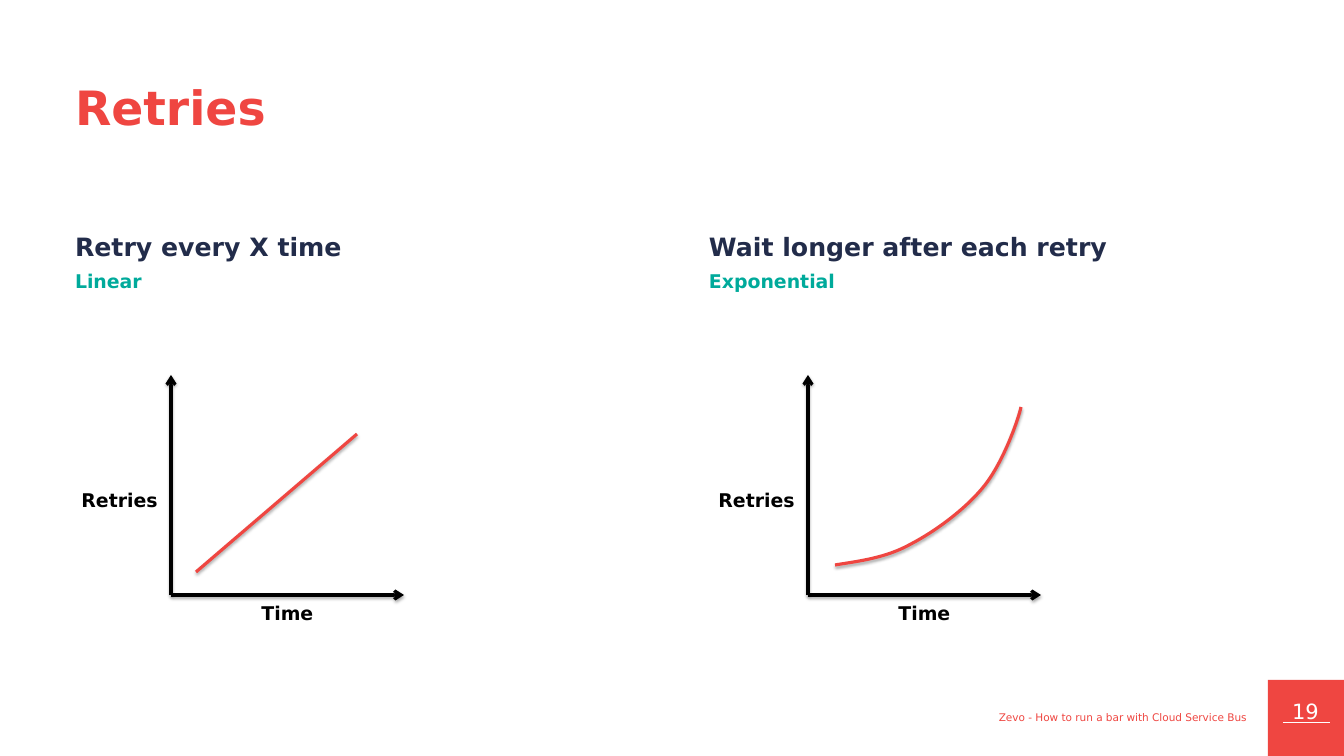
from dataclasses import dataclass

from lxml import etree
from pptx import Presentation
from pptx.dml.color import RGBColor
from pptx.enum.shapes import MSO_CONNECTOR, MSO_SHAPE
from pptx.enum.text import MSO_ANCHOR, MSO_AUTO_SIZE, PP_ALIGN
from pptx.oxml import parse_xml
from pptx.oxml.ns import nsdecls, qn
from pptx.util import Emu, Pt

STRAIGHT = MSO_CONNECTOR.STRAIGHT
RECTANGLE = MSO_SHAPE.RECTANGLE
TOP, MIDDLE = MSO_ANCHOR.TOP, MSO_ANCHOR.MIDDLE
FIT_SHAPE = MSO_AUTO_SIZE.SHAPE_TO_FIT_TEXT
LEFT, CENTER, RIGHT = PP_ALIGN.LEFT, PP_ALIGN.CENTER, PP_ALIGN.RIGHT

EMU_PER_PX = 12095
TWO_CONTENT_LAYOUT = 3
FONT = "DejaVu Sans"
RED, NAVY, TEAL, BLACK, WHITE = "EF4641", "222C4A", "00AA9B", "000000", "FFFFFF"
AXIS_TOP, AXIS_BOTTOM, AXIS_LENGTH = 375, 595, 233

Point = tuple[int, int]
Box = tuple[int, int, int, int]


@dataclass(frozen=True)
class Strategy:
    heading: str
    kind: str
    text_box: Box
    axis_x: int
    curve: tuple[Point, ...]  # two points: a line; otherwise cubic Bézier points


STRATEGIES = (
    Strategy("Retry every X time", "Linear", (75, 219, 548, 72), 171,
             ((196, 572), (357, 434))),
    Strategy("Wait longer after each retry", "Exponential", (709, 219, 548, 117), 808,
             ((835, 565), (860, 561), (886, 558), (911, 544), (936, 531),
              (967, 508), (985, 485), (1003, 462), (1018, 421), (1021, 407))),
)


def px(length: int) -> Emu:
    return Emu(length * EMU_PER_PX)


def color(value: str) -> RGBColor:
    return RGBColor.from_string(value)


def place(shape, box: Box) -> None:
    shape.left, shape.top, shape.width, shape.height = map(px, box)


def set_insets(frame, top: int) -> None:
    frame.margin_left = frame.margin_right = frame.margin_bottom = 0
    frame.margin_top = px(top)


def style(paragraph, size: int, value: str, bold: bool = False, align=LEFT) -> None:
    paragraph.alignment = align
    font = paragraph.font
    font.name, font.size, font.bold = FONT, Pt(size), bold
    font.color.rgb = color(value)


def add_text(shapes, box: Box, text: str, size: int, value: str,
             bold: bool = False, align=LEFT, wrap: bool = True):
    frame = shapes.add_textbox(*map(px, box)).text_frame
    frame.word_wrap = wrap
    frame.text = text
    style(frame.paragraphs[0], size, value, bold, align)
    return frame


def set_effects(shape, shadow: bool) -> None:
    effects = etree.SubElement(shape._element.spPr, qn("a:effectLst"))
    if shadow:
        effects.append(parse_xml(
            f'<a:outerShdw {nsdecls("a")} blurRad="39370" dist="22860" dir="5400000"'
            ' rotWithShape="0"><a:srgbClr val="000000"><a:alpha val="35000"/>'
            '</a:srgbClr></a:outerShdw>'))


def add_line(shapes, start: Point, end: Point, value: str, width: float = 3,
             shadow: bool = True, arrow: bool = False) -> None:
    """Draw a line; an arrow points towards its start."""
    line = shapes.add_connector(STRAIGHT, *map(px, start + end))
    line.line.color.rgb = color(value)
    line.line.width = Pt(width)
    if arrow:
        etree.SubElement(line.line._get_or_add_ln(), qn("a:headEnd"), type="arrow")
    set_effects(line, shadow)


def add_bezier(shapes, points: tuple[Point, ...], value: str) -> None:
    """Draw an open curve, turning each three line steps into one cubic segment."""
    scaled = [(px(x), px(y)) for x, y in points]
    builder = shapes.build_freeform(*scaled[0])
    builder.add_line_segments(scaled[1:], close=False)
    curve = builder.convert_to_shape()
    outline = next(curve._element.iter(qn("a:path")))
    steps = outline.findall(qn("a:lnTo"))
    for first in range(0, len(steps), 3):
        segment = etree.SubElement(outline, qn("a:cubicBezTo"))
        for step in steps[first:first + 3]:
            segment.append(step[0])
            outline.remove(step)
    curve.fill.background()
    curve.line.color.rgb = color(value)
    curve.line.width = Pt(3)
    set_effects(curve, True)


def add_graph(slide, strategy: Strategy) -> None:
    shapes = slide.shapes.add_group_shape().shapes
    x = strategy.axis_x
    origin = (x, AXIS_BOTTOM)
    for tip in ((x, AXIS_TOP), (x + AXIS_LENGTH, AXIS_BOTTOM)):
        add_line(shapes, tip, origin, BLACK, arrow=True)
    for label, box in (("Retries", (x - 97, 485, 96, 30)),
                       ("Time", (x + 83, 598, 72, 30))):
        frame = add_text(shapes, box, label, 18, BLACK, bold=True, wrap=False)
        frame.auto_size = FIT_SHAPE
    if len(strategy.curve) == 2:
        add_line(shapes, *strategy.curve, RED)
    else:
        add_bezier(shapes, strategy.curve, RED)


def fill_title(title) -> None:
    place(title, (75, 76, 1026, 58))
    frame = title.text_frame
    frame.text = "Retries"
    frame.vertical_anchor = TOP
    frame.auto_size = FIT_SHAPE
    set_insets(frame, 2)
    paragraph = frame.paragraphs[0]
    paragraph.space_before = Pt(1)
    style(paragraph, 45, RED, bold=True)


def fill_body(body, strategy: Strategy) -> None:
    place(body, strategy.text_box)
    frame = body.text_frame
    frame.text = f"{strategy.heading}\n{strategy.kind}"
    frame.auto_size = FIT_SHAPE
    set_insets(frame, 9)
    formats = ((24, NAVY, 6.2), (18, TEAL, 0))
    for level, (paragraph, (size, value, before)) in enumerate(
            zip(frame.paragraphs, formats)):
        paragraph.level = level
        paragraph.line_spacing = 1.1
        paragraph.space_before, paragraph.space_after = Pt(before), Pt(6.2)
        style(paragraph, size, value, bold=True)
        properties = paragraph._p.get_or_add_pPr()
        properties.set("marL", "0")
        properties.set("indent", "0")
        properties.insert_element_before(
            parse_xml(f'<a:buNone {nsdecls("a")}/>'), "a:tabLst", "a:defRPr", "a:extLst")


def add_footer(slide) -> None:
    shapes = slide.shapes
    corner = shapes.add_shape(RECTANGLE, *map(px, (1268, 680, 76, 76)))
    corner.shadow.inherit = False
    corner.fill.solid()
    corner.fill.fore_color.rgb = color(RED)
    corner.line.fill.background()
    number = add_text(shapes, (1277, 696, 57, 23), "19", 20, WHITE, align=CENTER)
    set_insets(number, 2)
    number.paragraphs[0].space_before = Pt(2)
    add_line(shapes, (1283, 722), (1330, 722), WHITE, width=0.5, shadow=False)
    talk = add_text(shapes, (800, 707, 454, 20),
                    "Zevo - How to run a bar with Cloud Service Bus", 10, RED, align=RIGHT)
    talk.vertical_anchor = MIDDLE
    talk.auto_size = FIT_SHAPE


def main() -> None:
    presentation = Presentation()
    presentation.slide_width, presentation.slide_height = px(1344), px(756)
    slide = presentation.slides.add_slide(
        presentation.slide_layouts[TWO_CONTENT_LAYOUT])
    title, *bodies = slide.placeholders
    fill_title(title)
    add_footer(slide)
    for body, strategy in zip(bodies, STRATEGIES):
        fill_body(body, strategy)
        add_graph(slide, strategy)
    presentation.save("out.pptx")


if __name__ == "__main__":
    main()
